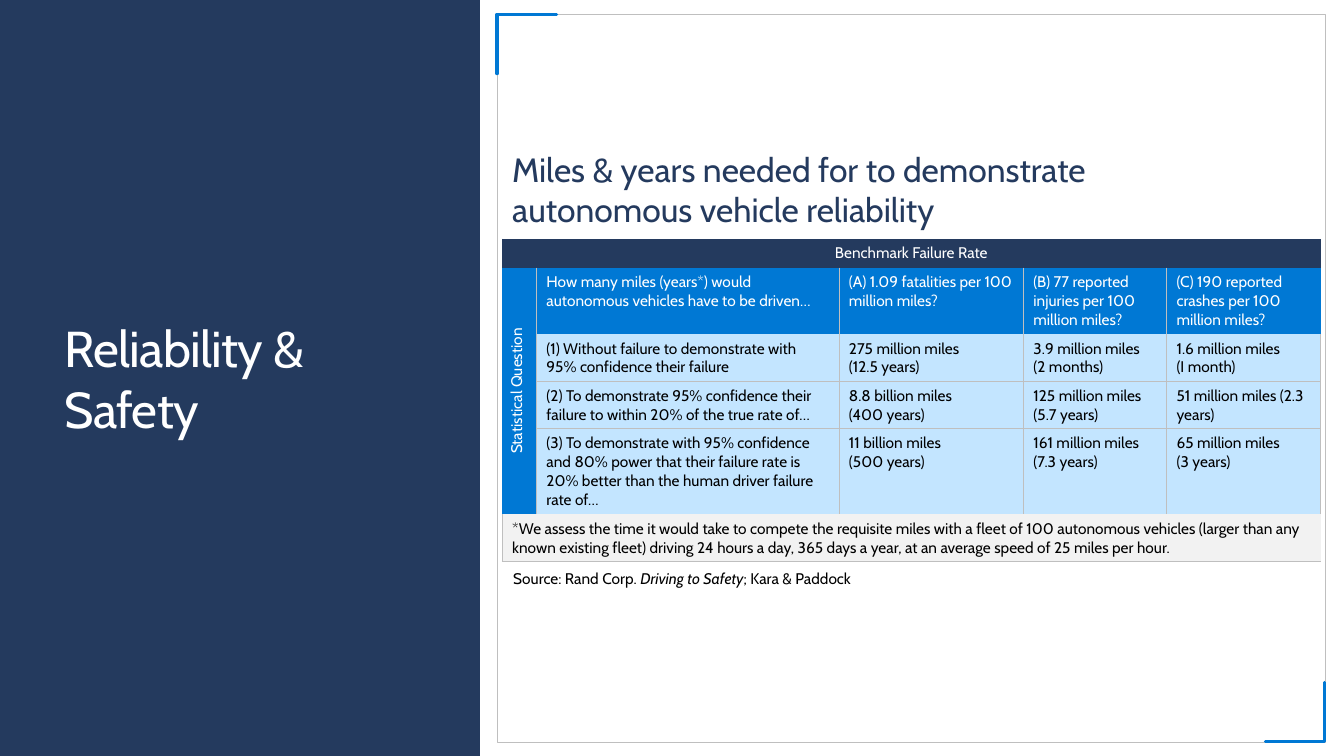
"""Build the reliability and safety slide with its benchmark table."""
from lxml.etree import SubElement
from pptx import Presentation
from pptx.dml.color import RGBColor
from pptx.enum.shapes import MSO_SHAPE
from pptx.enum.text import MSO_ANCHOR, PP_ALIGN
from pptx.oxml.ns import qn
from pptx.util import Inches, Pt

FONT = "Cabin"
NAVY, BLUE, PALE, GREY, LIGHT = "243A5E", "0078D4", "C3E5FF", "BFBFBF", "F2F2F2"
WHITE, BLACK = "FFFFFF", "000000"

TITLE = "Reliability & Safety"
HEADING = "Miles & years needed for to demonstrate \nautonomous vehicle reliability"
BANNER = "Benchmark Failure Rate"
SIDE_LABEL = "Statistical Question"
QUESTIONS = [
    ["How many miles (years*) would autonomous vehicles have to be driven…",
     "(A) 1.09 fatalities per 100 million miles?",
     "(B) 77 reported injuries per 100 million miles?",
     "(C) 190 reported crashes per 100 million miles?"],
    ["(1) Without failure to demonstrate with 95% confidence their failure",
     "275 million miles \n(12.5 years)", "3.9 million miles \n(2 months)",
     "1.6 million miles \n(I month)"],
    ["(2) To demonstrate 95% confidence their \nfailure to within 20% of the true rate of…",
     "8.8 billion miles \n(400 years)", "125 million miles \n(5.7 years)",
     "51 million miles (2.3 years)"],
    ["(3) To demonstrate with 95% confidence and 80% power that their failure rate is "
     "20% better than the human driver failure rate of…",
     "11 billion miles \n(500 years)", "161 million miles \n(7.3 years)",
     "65 million miles \n(3 years)"],
]
FOOTNOTE = ("*We assess the time it would take to compete the requisite miles with a fleet of "
            "100 autonomous vehicles (larger than any known existing fleet) driving 24 hours a "
            "day, 365 days a year, at an average speed of 25 miles per hour.")
SOURCE = [("Source: Rand Corp. ", False), ("Driving to Safety", True), ("; Kara & Paddock", False)]
COLUMN_WIDTHS = [0.34, 3, 1.83, 1.42, 1.53]
ROW_HEIGHTS = [0.28, 0.66, 0.47, 0.47, 0.85, 0.47]
LAST_ROW, LAST_COLUMN = len(ROW_HEIGHTS) - 1, len(COLUMN_WIDTHS) - 1


def color(value):
    return RGBColor.from_string(value)


def add_run(paragraph, text, size, text_color, italic=False):
    for index, line in enumerate(text.split("\n")):
        if index:
            paragraph.add_line_break()
        run = paragraph.add_run()
        run.text = line
        run.font.name, run.font.size, run.font.italic = FONT, Pt(size), italic
        run.font.color.rgb = color(text_color)
    return run


def clear_margins(frame):
    frame.margin_left = frame.margin_top = frame.margin_right = frame.margin_bottom = 0


def add_shape(slide, kind, box, fill=None, line=None, width=0.5):
    shape = slide.shapes.add_shape(kind, *map(Inches, box))
    shape.shadow.inherit = False
    if fill:
        shape.fill.solid()
        shape.fill.fore_color.rgb = color(fill)
    else:
        shape.fill.background()
    if line:
        shape.line.color.rgb = color(line)
        shape.line.width = Pt(width)
    else:
        shape.line.fill.background()
    return shape


def add_text_box(slide, box):
    frame = slide.shapes.add_textbox(*map(Inches, box)).text_frame
    frame.word_wrap = False
    clear_margins(frame)
    return frame


def border_colors(row, column):
    """Return the left, right, top and bottom border colours of a cell."""
    left = right = top = bottom = None
    if row == 0:
        left = NAVY if column == 0 else None
        right = NAVY if column == LAST_COLUMN else None
    elif row == LAST_ROW:
        left = GREY if column == 0 else None
        right = GREY if column == LAST_COLUMN else None
        bottom = GREY
    else:
        left = BLUE if column == 0 else GREY
        right = BLUE if row == 1 and column == LAST_COLUMN else GREY
        top = GREY if column and row in (3, 4) else None
        bottom = GREY if column and row in (2, 3) else None
    return left, right, top, bottom


def style_cell(cell, borders, fill):
    properties = cell._tc.get_or_add_tcPr()
    for side, border in zip("LRTB", borders):
        line = SubElement(properties, qn(f"a:ln{side}"), w=str(Pt(0.5)))
        if border:
            solid = SubElement(line, qn("a:solidFill"))
            SubElement(solid, qn("a:srgbClr"), val=border)
        else:
            SubElement(line, qn("a:noFill"))
    cell.fill.solid()
    cell.fill.fore_color.rgb = color(fill)


def cell_fill(row, column):
    if row in (0, LAST_ROW):
        return NAVY if row == 0 else LIGHT
    return BLUE if row == 1 or column == 0 else PALE


def add_benchmark_table(slide):
    table = slide.shapes.add_table(
        len(ROW_HEIGHTS), len(COLUMN_WIDTHS), Inches(4.98), Inches(2.37),
        Inches(sum(COLUMN_WIDTHS)), Inches(sum(ROW_HEIGHTS))).table
    table.first_row = table.horz_banding = False
    for column, width in zip(table.columns, COLUMN_WIDTHS):
        column.width = Inches(width)
    for row, height in zip(table.rows, ROW_HEIGHTS):
        row.height = Inches(height)
    for row in range(LAST_ROW + 1):
        for column in range(LAST_COLUMN + 1):
            style_cell(table.cell(row, column), border_colors(row, column), cell_fill(row, column))

    for row in (0, LAST_ROW):
        table.cell(row, 0).merge(table.cell(row, LAST_COLUMN))
    table.cell(1, 0).merge(table.cell(LAST_ROW - 1, 0))

    texts = {(0, 0): BANNER, (1, 0): SIDE_LABEL, (LAST_ROW, 0): FOOTNOTE}
    for row, values in enumerate(QUESTIONS, 1):
        for column, value in enumerate(values, 1):
            texts[row, column] = value
    for (row, column), text in texts.items():
        paragraph = table.cell(row, column).text_frame.paragraphs[0]
        add_run(paragraph, text, 11, WHITE if row < 2 else BLACK)
    for row in (0, 1):
        cell = table.cell(row, 0)
        cell.vertical_anchor = MSO_ANCHOR.MIDDLE
        cell.text_frame.paragraphs[0].alignment = PP_ALIGN.CENTER
    table.cell(1, 0)._tc.get_or_add_tcPr().set("vert", "vert270")


def main():
    presentation = Presentation()
    presentation.slide_width, presentation.slide_height = Inches(13.33), Inches(7.5)
    slide = presentation.slides.add_slide(presentation.slide_layouts[5])

    panel = add_shape(slide, MSO_SHAPE.RECTANGLE, (0, 0, 4.76, 7.5), NAVY)
    title = slide.shapes.title
    panel._element.addnext(title._element)
    title.left, title.top, title.width, title.height = map(Inches, (0.64, 0.64, 3.48, 6.22))
    frame = title.text_frame
    clear_margins(frame)
    frame.word_wrap = True
    frame.vertical_anchor = MSO_ANCHOR.MIDDLE
    frame.paragraphs[0].alignment = PP_ALIGN.LEFT
    run = add_run(frame.paragraphs[0], TITLE, 36, WHITE)
    run.font._element.set("spc", "-50")

    add_shape(slide, MSO_SHAPE.RECTANGLE, (4.93, 0.14, 8.22, 7.22), line=GREY)
    heading = add_text_box(slide, (5.08, 1.47, 5.89, 0.81))
    heading.vertical_anchor = MSO_ANCHOR.MIDDLE
    add_run(heading.paragraphs[0], HEADING, 24, NAVY)

    add_benchmark_table(slide)

    source = add_text_box(slide, (5.09, 5.67, 3.71, 0.17)).paragraphs[0]
    source.line_spacing = 0.9
    source.space_after = Pt(5.9)
    for text, italic in SOURCE:
        add_run(source, text, 11, BLACK, italic)

    for left, top, rotation in ((4.93, 0.14, 0), (12.55, 6.77, 180)):
        corner = add_shape(slide, MSO_SHAPE.HALF_FRAME, (left, top, 0.59, 0.59), BLUE, BLUE, 2.25)
        corner.adjustments[0] = corner.adjustments[1] = 0
        corner.rotation = rotation

    presentation.save("out.pptx")


if __name__ == "__main__":
    main()
